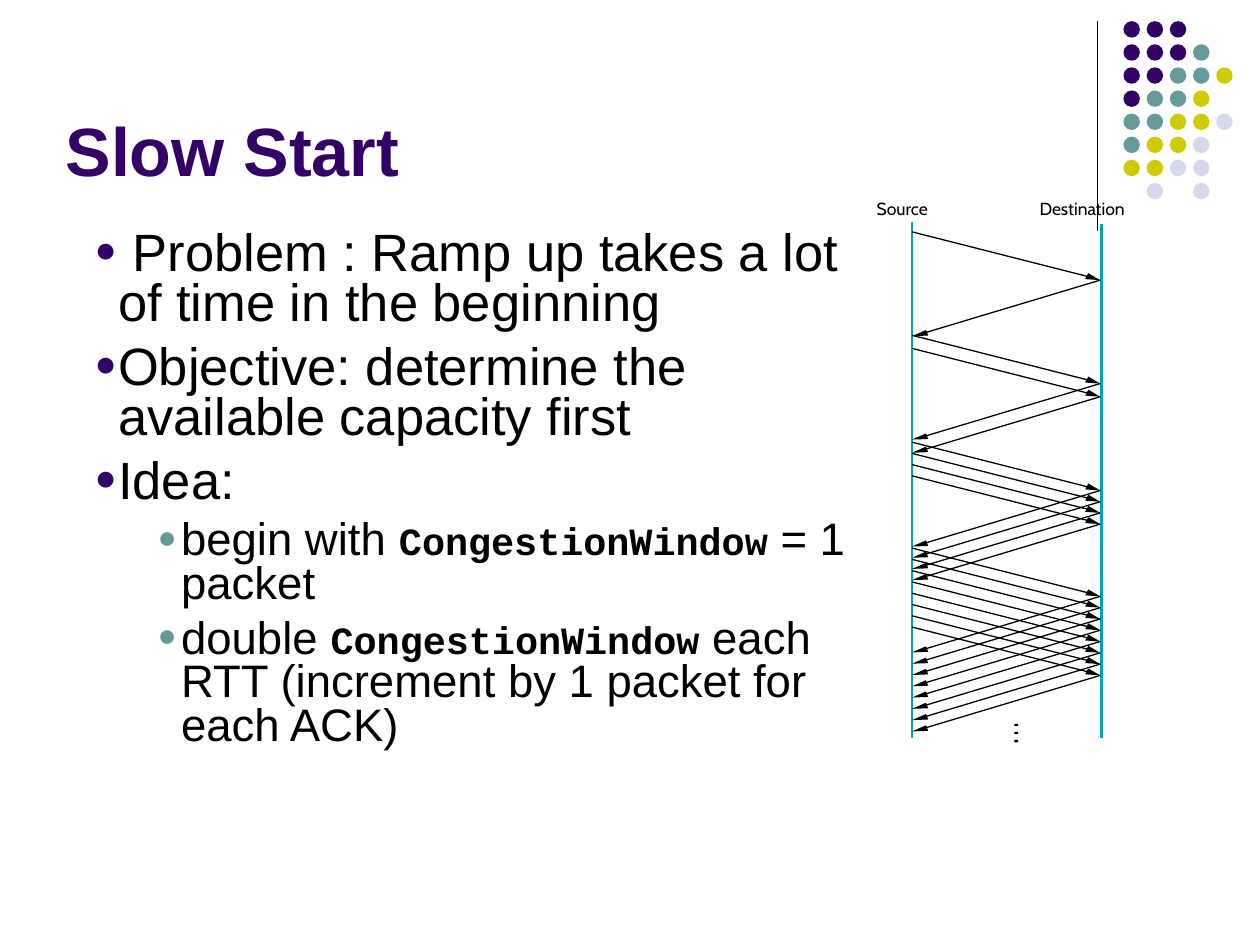
from dataclasses import dataclass

from lxml.etree import SubElement
from pptx import Presentation
from pptx.dml.color import RGBColor as RGB
from pptx.enum.shapes import MSO_CONNECTOR as LINE, MSO_SHAPE as SHAPE
from pptx.enum.text import MSO_ANCHOR as ANCHOR, MSO_AUTO_SIZE as FIT, PP_ALIGN as ALIGN
from pptx.oxml.ns import qn
from pptx.util import Pt


@dataclass
class Theme:
    ink: str = "000000"
    deep: str = "330066"
    teal: str = "669999"
    lime: str = "CCCC00"
    pale: str = "D8D8EC"
    rail: str = "00A0C6"
    sans: str = "Arial"
    mono: str = "Courier New"
    tag: str = "Cabin"
    head: int = 39
    main: int = 30
    sub: int = 26
    code: int = 22
    small: int = 10


class Deck:
    def __init__(self, theme):
        self.theme = theme
        self.file = Presentation()
        self.file.slide_width, self.file.slide_height = Pt(720), Pt(540)
        self.slide = self.file.slides.add_slide(self.file.slide_layouts[1])
        self.shapes = self.slide.shapes

    def frame(self, shape, wrap=True):
        frame = shape.text_frame
        frame.margin_left = frame.margin_top = 0
        frame.margin_right = frame.margin_bottom = 0
        frame.vertical_anchor = ANCHOR.TOP
        frame.auto_size = FIT.NONE
        frame.word_wrap = wrap
        return frame

    def place(self, shape, x, y, w, h):
        shape.left, shape.top, shape.width, shape.height = Pt(x), Pt(y), Pt(w), Pt(h)

    def font(self, run, face, size, color, bold=False):
        run.font.name, run.font.size, run.font.bold = face, Pt(size), bold
        run.font.color.rgb = RGB.from_string(color)

    def fill(self, shape, color):
        shape.shadow.inherit = False
        shape.fill.solid()
        shape.fill.fore_color.rgb = RGB.from_string(color)
        shape.line.fill.background()

    def title(self, text, *box):
        shape = self.shapes.title
        self.place(shape, *box)
        frame = self.frame(shape)
        frame.text = text
        para = frame.paragraphs[0]
        para.alignment = ALIGN.LEFT
        self.font(para.runs[0], self.theme.sans, self.theme.head, self.theme.deep, True)

    def bullet(self, para, color, left, hang):
        props = para._p.get_or_add_pPr()
        props.set("marL", str(Pt(left)))
        props.set("indent", str(Pt(-hang)))
        SubElement(SubElement(props, qn("a:buClr")), qn("a:srgbClr"), val=color)
        SubElement(props, qn("a:buSzPct"), val="70000")
        SubElement(props, qn("a:buFont"), typeface=self.theme.sans)
        SubElement(props, qn("a:buChar"), char="●")

    def body(self, items, *box):
        """Each item is a level and its text parts; every second part is code."""
        look = self.theme
        levels = ((look.main, 7.5, look.deep, 13.5), (look.sub, 6.5, look.teal, 49.5))
        shape = self.slide.placeholders[1]
        self.place(shape, *box)
        frame = self.frame(shape)
        for i, (level, *parts) in enumerate(items):
            para = frame.add_paragraph() if i else frame.paragraphs[0]
            size, gap, color, left = levels[level]
            para.level, para.line_spacing, para.space_before = level, 0.8, Pt(gap)
            self.bullet(para, color, left, 13.5)
            for j, part in enumerate(parts):
                run = para.add_run()
                run.text = part
                if j % 2:
                    self.font(run, look.mono, look.code, look.ink, True)
                else:
                    self.font(run, look.sans, size, look.ink)

    def label(self, text, *box):
        shape = self.shapes.add_textbox(0, 0, 0, 0)
        self.place(shape, *box)
        frame = self.frame(shape, wrap=False)
        frame.text = text
        run = frame.paragraphs[0].runs[0]
        self.font(run, self.theme.tag, self.theme.small, self.theme.ink)

    def line(self, x, y, to_x, to_y, color, width=0.75):
        link = self.shapes.add_connector(LINE.STRAIGHT, Pt(x), Pt(y), Pt(to_x), Pt(to_y))
        link.line.color.rgb = RGB.from_string(color)
        link.line.width = Pt(width)
        SubElement(link._element.spPr, qn("a:effectLst"))

    def dot(self, x, y, size, color):
        self.fill(self.shapes.add_shape(SHAPE.OVAL, Pt(x), Pt(y), Pt(size), Pt(size)), color)

    def outline(self, loops, color):
        loops = [[(Pt(x), Pt(y)) for x, y in loop] for loop in loops]
        pen = self.shapes.build_freeform(*loops[0][0])
        for i, loop in enumerate(loops):
            if i:
                pen.move_to(*loop[0])
            pen.add_line_segments(loop[1:], close=True)
        self.fill(pen.convert_to_shape(), color)

    def arrow(self, x, y, tip_x, tip_y, neck, barbs):
        """Shaft up to the neck, then a solid head; offsets count from the tip."""
        self.line(x, y, tip_x + neck[0], tip_y + neck[1], self.theme.ink)
        head = [(0, 0)] + barbs
        self.outline([[(tip_x + dx, tip_y + dy) for dx, dy in head]], self.theme.ink)


def main():
    look = Theme()
    deck = Deck(look)

    # Corner ornament: rule and dot grid
    deck.line(627, 12.2, 627, 131.8, look.ink)
    inks = {"D": look.deep, "T": look.teal, "L": look.lime, "P": look.pale}
    rows = ("DDD", "DDDT", "DDTTL", "DTTL", "TTLLP", "TLLP", "LLPP", " P P")
    for i, row in enumerate(rows):
        for j, key in enumerate(row):
            if key in inks:
                deck.dot(642 + 13.25 * j, 12.1 + 13.2 * i, 9.4, inks[key])

    # Title and list
    deck.title("Slow Start", 37.5, 62, 612, 47)
    deck.body([
        (0, " Problem : Ramp up takes a lot of time in the beginning"),
        (0, "Objective: determine the available capacity first"),
        (0, "Idea:"),
        (1, "begin with ", "CongestionWindow", " = 1 packet"),
        (1, "double ", "CongestionWindow",
         " each RTT (increment by 1 packet for each ACK)"),
    ], 54, 132, 450, 324)

    # Timelines
    deck.label("Source", 501, 113, 32.5, 12.5)
    deck.label("Destination", 594, 113, 54, 12.5)
    left, right, base = 521.2, 629.5, 422
    deck.line(left, 126.7, left, base, look.rail, 1.5)
    deck.line(right, 128.2, right, base, look.rail, 1.5)

    # Packets and their replies: the count doubles each round
    send, reply = 27.6, 32
    rounds = ((132.5, 0), (191.6, 7.5), (252.7, 6.4), (313.2, 6.45))
    for i, (start, gap) in enumerate(rounds):
        for j in range(2 ** i):
            y = start + gap * j
            hit = y + send
            deck.arrow(left, y, right - 0.8, hit, (-7.2, -2.1), [(-6.8, -4), (-8.6, -0.6)])
            deck.arrow(right - 0.8, hit, left, hit + reply, (7.9, -2.1), [(9.2, -0.3), (7.9, -3.5)])

    # Vertical ellipsis
    x, w, h = 579.6, 2.2, 1.3
    tops = [413.7 + 4.6 * i for i in range(3)]
    deck.outline([[(x, y), (x + w, y), (x + w, y + h), (x, y + h)] for y in tops], look.ink)

    deck.file.save("out.pptx")


if __name__ == "__main__":
    main()
